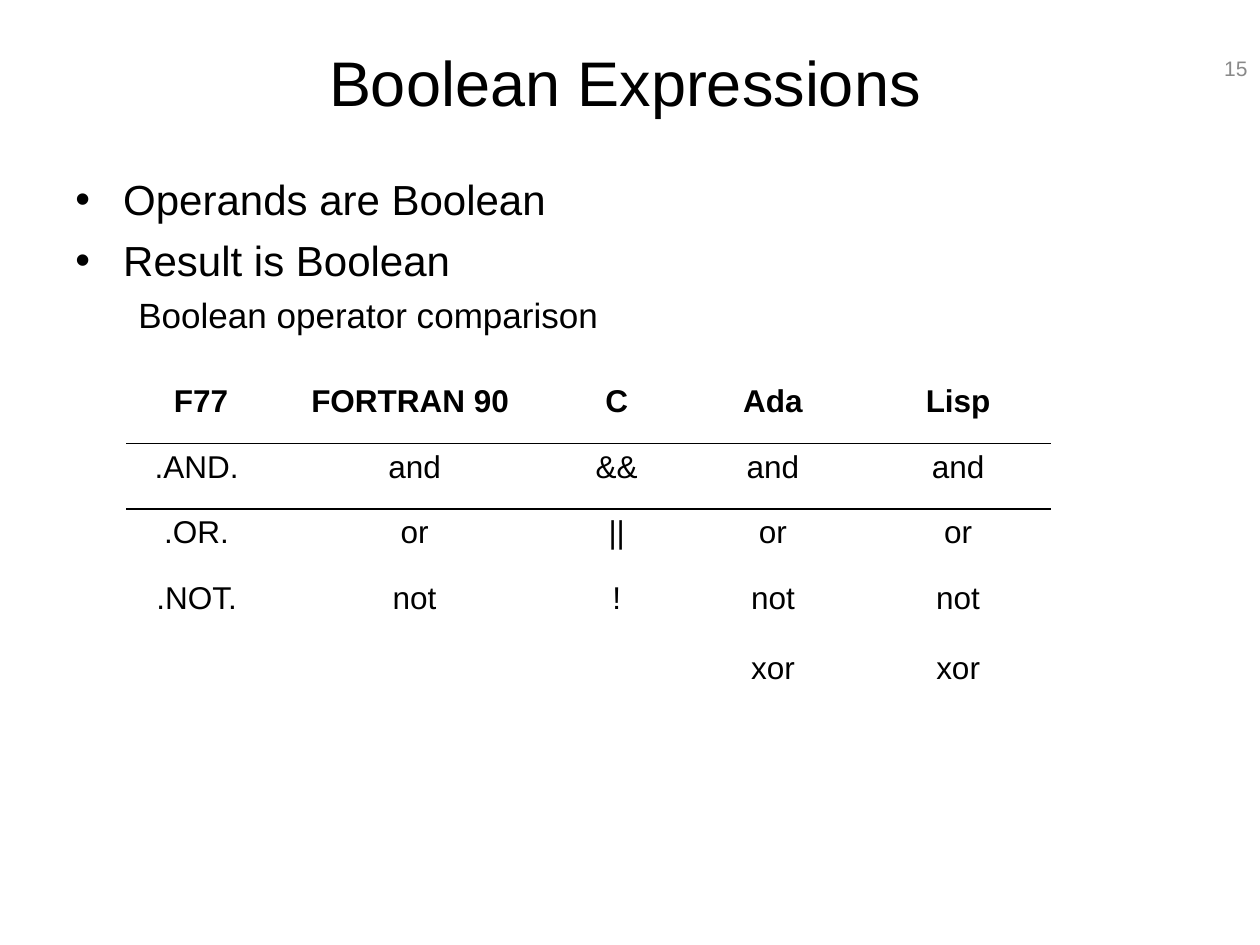
from dataclasses import dataclass

from lxml import etree
from pptx import Presentation, util as u
from pptx.dml.color import RGBColor
from pptx.enum import text
from pptx.oxml import ns

BLACK = "000000"
WHITE = "FFFFFF"
GREY = "898989"
NO_STYLE = "{2D5ABB26-0587-4C30-8999-92F81FD0307C}"


@dataclass
class Line:
    words: str
    size: float
    color: str = BLACK
    bold: bool = False
    align: text.PP_ALIGN = text.PP_ALIGN.LEFT
    before: float = 0
    level: int = 0
    margin: float = 0
    indent: float = 0
    bullet: str = ""


@dataclass
class Box:
    left: float
    top: float
    width: float
    height: float
    lines: list[Line]
    anchor: text.MSO_ANCHOR = text.MSO_ANCHOR.TOP


def rgb(value: str) -> RGBColor:
    return RGBColor.from_string(value)


def add_element(parent, tag: str, **attributes: str):
    return etree.SubElement(parent, ns.qn(tag), attributes)


def write_lines(frame, lines: list[Line]) -> None:
    for index, line in enumerate(lines):
        paragraph = frame.add_paragraph() if index else frame.paragraphs[0]
        layout = {"alignment": line.align, "level": line.level, "space_before": u.Pt(line.before)}
        for name, value in layout.items():
            setattr(paragraph, name, value)
        properties = paragraph._p.get_or_add_pPr()
        properties.set("marL", str(u.Inches(line.margin)))
        properties.set("indent", str(u.Inches(line.indent)))
        if line.bullet:
            add_element(properties, "a:buFont", typeface="Arial")
            add_element(properties, "a:buChar", char=line.bullet)
        run = paragraph.add_run()
        run.text = line.words
        style = {"name": "Arial", "size": u.Pt(line.size), "bold": line.bold}
        for name, value in style.items():
            setattr(run.font, name, value)
        run.font.color.rgb = rgb(line.color)


def add_box(slide, box: Box) -> None:
    place = [u.Inches(value) for value in (box.left, box.top, box.width, box.height)]
    frame = slide.shapes.add_textbox(*place).text_frame
    frame.word_wrap = True
    frame.vertical_anchor = box.anchor
    write_lines(frame, box.lines)


def add_border(cell, tag: str) -> None:
    border = etree.Element(ns.qn(tag), w=str(u.Pt(1.08)))
    fill = add_element(border, "a:solidFill")
    add_element(fill, "a:srgbClr", val=BLACK)
    cell._tc.get_or_add_tcPr().insert(0, border)


def add_operator_table(slide, rows: list[list[str]], widths: list[float], heights: list[float]) -> None:
    shape = slide.shapes.add_table(
        len(rows), len(widths), u.Inches(1), u.Inches(3), u.Inches(sum(widths)), u.Inches(sum(heights))
    )
    table = shape.table
    table.first_row = table.horz_banding = False
    table._tbl.tblPr.find(ns.qn("a:tableStyleId")).text = NO_STYLE
    for column, width in zip(table.columns, widths):
        column.width = u.Inches(width)
    for row, height in zip(table.rows, heights):
        row.height = u.Inches(height)
    borders = {0: "a:lnB", 1: "a:lnT"}
    for row_index, row in enumerate(rows):
        for column_index, words in enumerate(row):
            cell = table.cell(row_index, column_index)
            cell.fill.solid()
            cell.fill.fore_color.rgb = rgb(WHITE)
            if row_index in borders:
                add_border(cell, borders[row_index])
            lines = [
                Line(part, 18, bold=row_index == 0, align=text.PP_ALIGN.CENTER, before=20 if index else 0)
                for index, part in enumerate(words.split("\n"))
            ]
            write_lines(cell.text_frame, lines)


def bullet_line(words: str) -> Line:
    return Line(words, 24, before=6, margin=0.38, indent=-0.38, bullet="•")


BOXES = [
    Box(9.33, 0.33, 0.67, 0.42, [Line("15", 12, GREY, align=text.PP_ALIGN.RIGHT)], text.MSO_ANCHOR.MIDDLE),
    Box(0.5, 0.3, 8.92, 0.87, [Line("Boolean Expressions", 36, align=text.PP_ALIGN.CENTER)]),
    Box(0.5, 1.33, 9, 5.75, [
        bullet_line("Operands are Boolean"),
        bullet_line("Result is Boolean"),
        Line("Boolean operator comparison", 20, before=5, level=1, margin=0.81, indent=-0.31),
    ]),
]

OPERATORS = [
    ["F77", "FORTRAN 90 ", "C", "Ada", "Lisp"],
    [".AND. ", "and", "&&", "and", "and"],
    [".OR. ", "or", "||", "or", "or"],
    [".NOT. ", "not", "!", "not\nxor", "not\nxor"],
]


def main() -> None:
    presentation = Presentation()
    presentation.slide_width = u.Inches(10)
    presentation.slide_height = u.Inches(7.5)
    slide = presentation.slides.add_slide(presentation.slide_layouts[6])
    for box in BOXES:
        add_box(slide, box)
    add_operator_table(slide, OPERATORS, [1.19, 2.2, 1.01, 1.47, 1.47], [0.52, 0.52, 0.52, 1])
    presentation.save("out.pptx")


if __name__ == "__main__":
    main()
